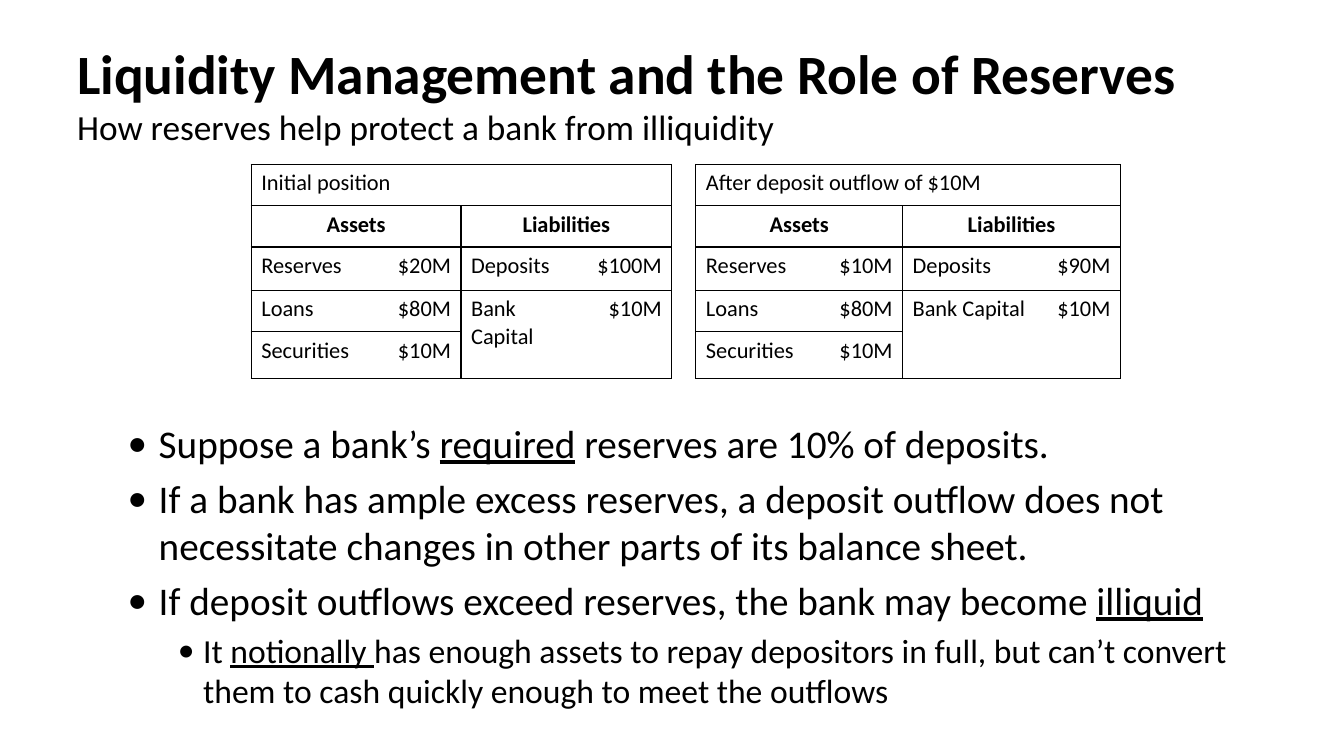
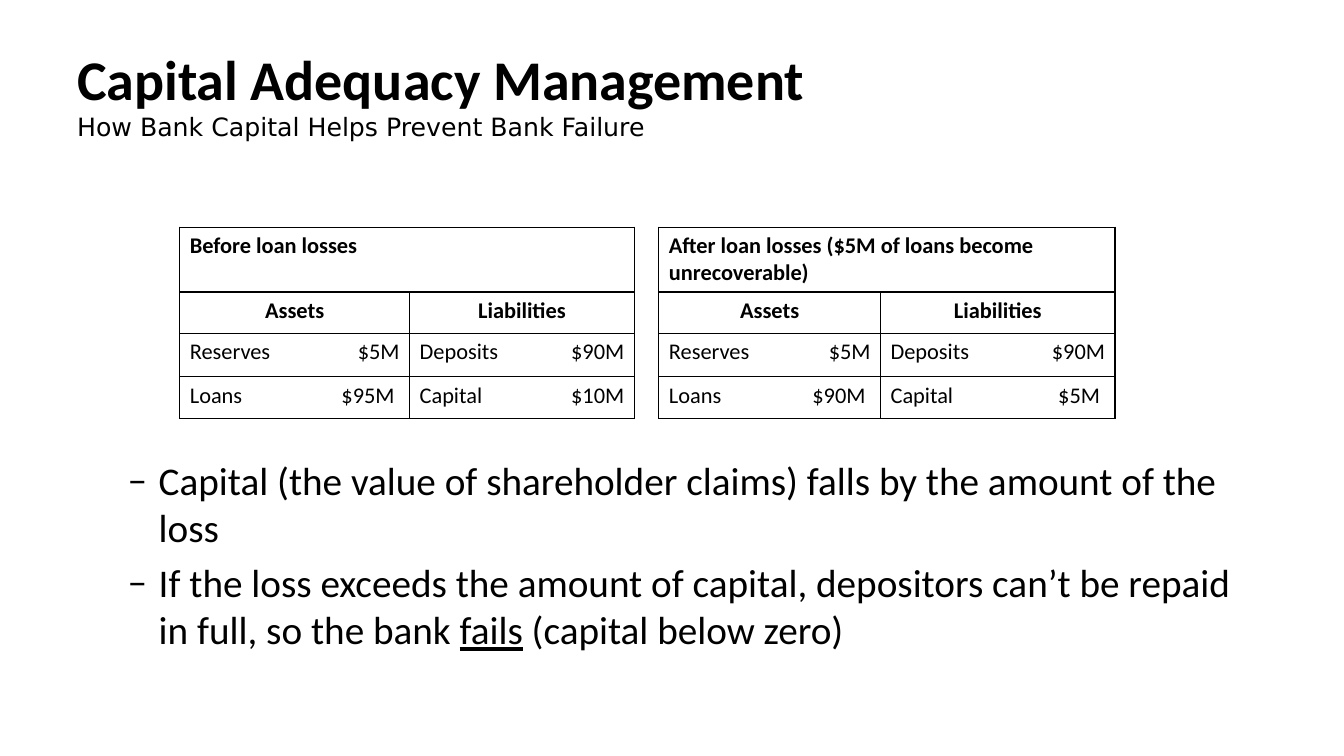
"""Build two slides on bank liquidity and capital adequacy."""
from dataclasses import dataclass

from lxml.etree import SubElement
from pptx import Presentation
from pptx.dml.color import RGBColor
from pptx.enum.text import MSO_ANCHOR, PP_ALIGN
from pptx.oxml.ns import qn
from pptx.util import Inches, Pt


@dataclass(frozen=True)
class Theme:
    """Hold the colours, fonts, sizes and grid shared by the slides."""

    width: float = 13.33
    height: float = 7.5
    divisions: int = 100
    ink: str = "000000"
    background: str = "FFFFFF"
    font: str = "Calibri"
    plain_font: str = "DejaVu Sans"
    table_size: float = 16
    bullet_sizes: tuple = (28, 24)
    bullet_indents: tuple = ((0.81, -0.31), (1.25, -0.25))
    bullet_spacing: float = 0.2
    thin_line: float = 1
    thick_line: float = 1.5
    tab_inset: float = 0.25
    table_style: str = "{2D5ABB26-0587-4C30-8999-92F81FD0307C}"


THEME = Theme()


def columns(count):
    """Return the width of a number of grid columns."""
    return Inches(count * THEME.width / THEME.divisions)


def rows(count):
    """Return the height of a number of grid rows."""
    return Inches(count * THEME.height / THEME.divisions)


def add_run(paragraph, text, size, **formats):
    """Add a run of text with the theme font and the given formats."""
    run = paragraph.add_run()
    run.text = text
    values = {"name": THEME.font, "size": Pt(size), "bold": False} | formats
    for name, value in values.items():
        setattr(run.font, name, value)
    run.font.color.rgb = RGBColor.from_string(THEME.ink)


def add_text_frame(slide, top, height, anchor):
    """Add a wrapping text box across the content width."""
    shape = slide.shapes.add_textbox(columns(5), rows(top), columns(90), rows(height))
    frame = shape.text_frame
    for name, value in {"word_wrap": True, "vertical_anchor": anchor}.items():
        setattr(frame, name, value)
    return frame


def add_title(slide, title, title_size, subtitle, subtitle_size, subtitle_font):
    """Add a bold title with a plain subtitle on the next line."""
    paragraph = add_text_frame(slide, 4, 16.67, MSO_ANCHOR.MIDDLE).paragraphs[0]
    add_run(paragraph, title, title_size, bold=True)
    paragraph.add_line_break()
    add_run(paragraph, subtitle, subtitle_size, name=subtitle_font)


def add_bullets(slide, top, mark, items):
    """Add bullets from (level, text) pairs, underlining text between underscores."""
    frame = add_text_frame(slide, top, 94 - top, MSO_ANCHOR.TOP)
    for index, (level, text) in enumerate(items):
        paragraph = frame.add_paragraph() if index else frame.paragraphs[0]
        size = THEME.bullet_sizes[level]
        paragraph.level = level
        paragraph.space_before = Pt(size * THEME.bullet_spacing if index else 0)
        properties = paragraph._p.get_or_add_pPr()
        for name, value in zip(("marL", "indent"), THEME.bullet_indents[level]):
            properties.set(name, str(Inches(value)))
        SubElement(properties, qn("a:buFont"), typeface=THEME.font)
        SubElement(properties, qn("a:buChar"), char=mark)
        for position, piece in enumerate(text.split("_")):
            if piece:
                add_run(paragraph, piece, size, underline=position % 2 == 1)


def set_borders(cell, borders):
    """Draw the given sides of a table cell and clear the others."""
    properties = cell._tc.get_or_add_tcPr()
    for side in "LRTB":
        line = SubElement(properties, qn(f"a:ln{side}"), w=str(Pt(borders.get(side, 0))))
        if side in borders:
            fill = SubElement(line, qn("a:solidFill"))
            SubElement(fill, qn("a:srgbClr"), val=THEME.ink)
        else:
            SubElement(line, qn("a:noFill"))


def fill_cells(table, area, text, borders, alignment=PP_ALIGN.LEFT, bold=False):
    """Write text in an area of cells, merge it and draw its borders."""
    top, left, bottom, right = area
    origin = table.cell(top, left)
    if (top, left) != (bottom, right):
        origin.merge(table.cell(bottom, right))
    paragraph = origin.text_frame.paragraphs[0]
    paragraph.alignment = alignment
    add_run(paragraph, text, THEME.table_size, bold=bold)
    for row in range(top, bottom + 1):
        for column in range(left, right + 1):
            set_borders(table.cell(row, column), borders)
    return paragraph


def add_tabbed_entry(table, row, column, label, amount, borders):
    """Write a label and a right-tabbed amount in one merged cell."""
    paragraph = fill_cells(table, (row, column, row, column + 1),
                           f"{label}\t{amount}", borders)
    width = table.columns[column].width + table.columns[column + 1].width
    tabs = SubElement(paragraph._p.get_or_add_pPr(), qn("a:tabLst"))
    SubElement(tabs, qn("a:tab"), pos=str(width - Inches(THEME.tab_inset)), algn="r")


def add_account(table, left, heading, sides, heading_bold, heading_line):
    """Fill one balance sheet, stretching the last entry of a side to the bottom."""
    thin, thick = THEME.thin_line, THEME.thick_line
    frame = {"L": thin, "R": thin, "T": thin, "B": heading_line}
    fill_cells(table, (0, left, 0, left + 3), heading, frame, bold=heading_bold)
    last_row = len(table.rows) - 1
    for side, (name, entries) in enumerate(sides.items()):
        column = left + 2 * side
        fill_cells(table, (1, column, 1, column + 1), name,
                   frame | {"T": heading_line, "B": thick}, PP_ALIGN.CENTER, True)
        for index, (label, amount, *tabbed) in enumerate(entries):
            row = index + 2
            bottom = last_row if index == len(entries) - 1 else row
            borders = {"T": thin if index else thick, "B": thin}
            if tabbed:
                add_tabbed_entry(table, row, column, label, amount,
                                 borders | {"L": thin, "R": thin})
                continue
            fill_cells(table, (row, column, bottom, column), label, borders | {"L": thin})
            fill_cells(table, (row, column + 1, bottom, column + 1), amount,
                       borders | {"R": thin}, PP_ALIGN.RIGHT)


def add_accounts(slide, left, top, widths, heights, accounts, heading_bold, heading_line):
    """Add a table with two balance sheets separated by a gap column."""
    shape = slide.shapes.add_table(len(heights), len(widths), columns(left), rows(top),
                                   columns(sum(widths)), rows(sum(heights)))
    table = shape.table
    for name in ("first_row", "horz_banding"):
        setattr(table, name, False)
    table._tbl.tblPr.find(qn("a:tableStyleId")).text = THEME.table_style
    for column, width in zip(table.columns, widths):
        column.width = columns(width)
    for row, height in zip(table.rows, heights):
        row.height = rows(height)
    for index, (heading, sides) in enumerate(accounts.items()):
        add_account(table, 5 * index, heading, sides, heading_bold, heading_line)
    for row in range(len(heights)):
        set_borders(table.cell(row, 4), {"L": THEME.thin_line, "R": THEME.thin_line})
    for cell in table.iter_cells():
        cell.fill.background()


def add_slide(presentation):
    """Add a blank slide with the theme background."""
    slide = presentation.slides.add_slide(presentation.slide_layouts[6])
    slide.background.fill.solid()
    slide.background.fill.fore_color.rgb = RGBColor.from_string(THEME.background)
    return slide


def add_liquidity_slide(presentation):
    """Add the slide on liquidity and reserves."""
    slide = add_slide(presentation)
    add_title(slide, "Liquidity Management and the Role of Reserves", 39.6,
              "How reserves help protect a bank from illiquidity", 25.2, THEME.font)
    accounts = {
        "Initial position": {
            "Assets": [("Reserves", "$20M"), ("Loans", "$80M"), ("Securities", "$10M")],
            "Liabilities": [("Deposits", "$100M"), ("Bank Capital", "$10M")],
        },
        "After deposit outflow of $10M": {
            "Assets": [("Reserves", "$10M"), ("Loans", "$80M"), ("Securities", "$10M")],
            "Liabilities": [("Deposits", "$90M"), ("Bank Capital", "$10M")],
        },
    }
    add_accounts(slide, 18.7, 21.75,
                 (9.38, 6.23, 8.78, 6.9, 1.73, 9.15, 6.23, 9.98, 6.23),
                 (5.47, 5.47, 5.73, 5.47, 6.2), accounts, False, THEME.thin_line)
    add_bullets(slide, 54.8, "•", [
        (0, "Suppose a bank’s _required_ reserves are 10% of deposits."),
        (0, "If a bank has ample excess reserves, a deposit outflow does not "
            "necessitate changes in other parts of its balance sheet."),
        (0, "If deposit outflows exceed reserves, the bank may become _illiquid_"),
        (1, "It _notionally _has enough assets to repay depositors in full, but "
            "can’t convert them to cash quickly enough to meet the outflows"),
    ])


def add_capital_slide(presentation):
    """Add the slide on capital adequacy."""
    slide = add_slide(presentation)
    add_title(slide, "Capital Adequacy Management", 40,
              "How Bank Capital Helps Prevent Bank Failure", 18, THEME.plain_font)
    accounts = {
        "Before loan losses": {
            "Assets": [("Reserves", "$5M"), ("Loans", "$95M", True)],
            "Liabilities": [("Deposits", "$90M"), ("Capital", "$10M")],
        },
        "After loan losses ($5M of loans become unrecoverable)": {
            "Assets": [("Reserves", "$5M"), ("Loans", "$90M", True)],
            "Liabilities": [("Deposits", "$90M"), ("Capital", "$5M", True)],
        },
    }
    add_accounts(slide, 13.38, 30.05,
                 (10.35, 6.75, 9.35, 7.37, 1.83, 9.82, 6.68, 10.75, 6.7),
                 (8.6, 5.47, 5.73, 5.47), accounts, True, THEME.thick_line)
    add_bullets(slide, 59.73, "–", [
        (0, "Capital (the value of shareholder claims) falls by the amount of the loss"),
        (0, "If the loss exceeds the amount of capital, depositors can’t be repaid "
            "in full, so the bank _fails_ (capital below zero)"),
    ])


def main():
    """Build and save the presentation."""
    presentation = Presentation()
    size = {"slide_width": Inches(THEME.width), "slide_height": Inches(THEME.height)}
    for name, value in size.items():
        setattr(presentation, name, value)
    add_liquidity_slide(presentation)
    add_capital_slide(presentation)
    presentation.save("out.pptx")


if __name__ == "__main__":
    main()
